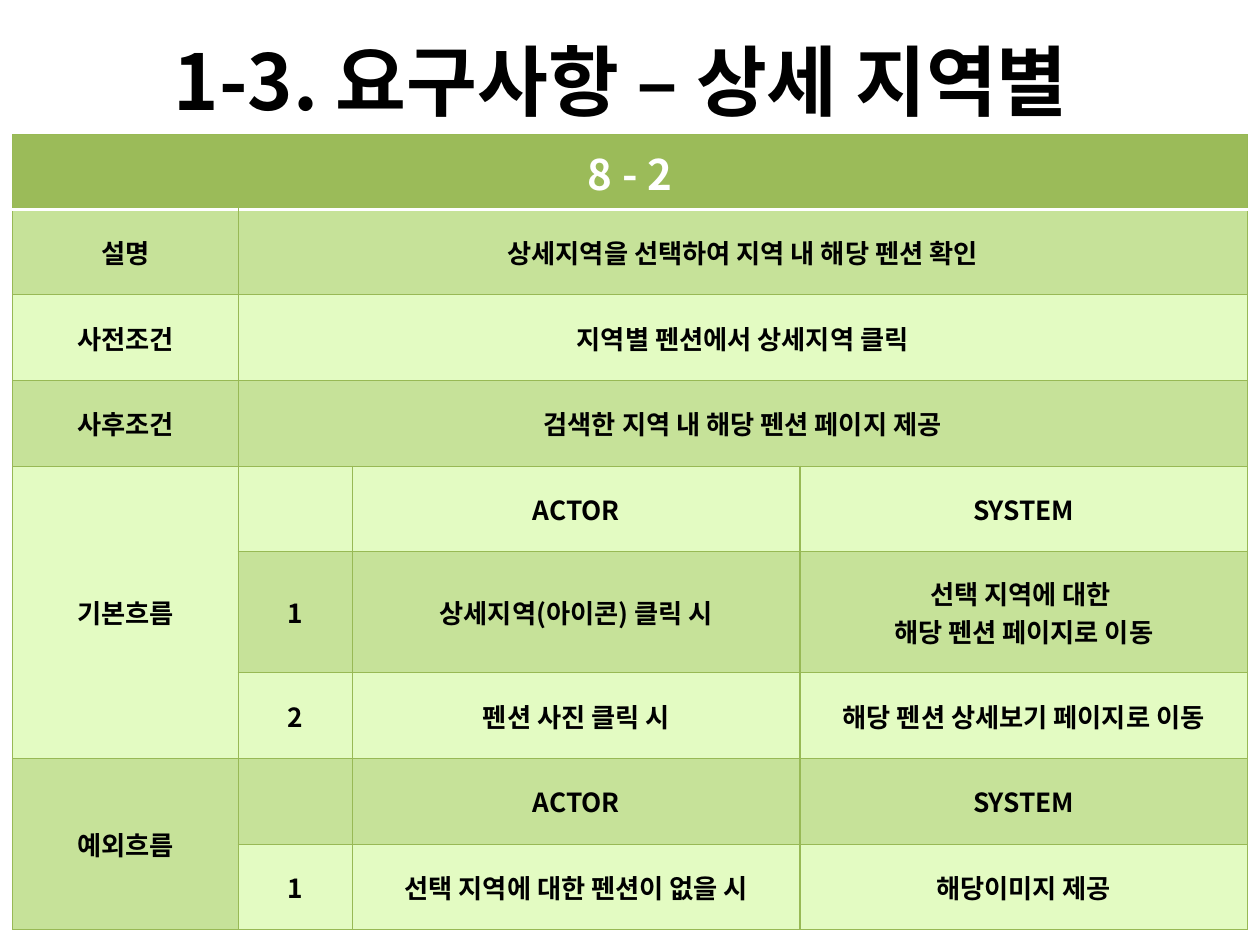
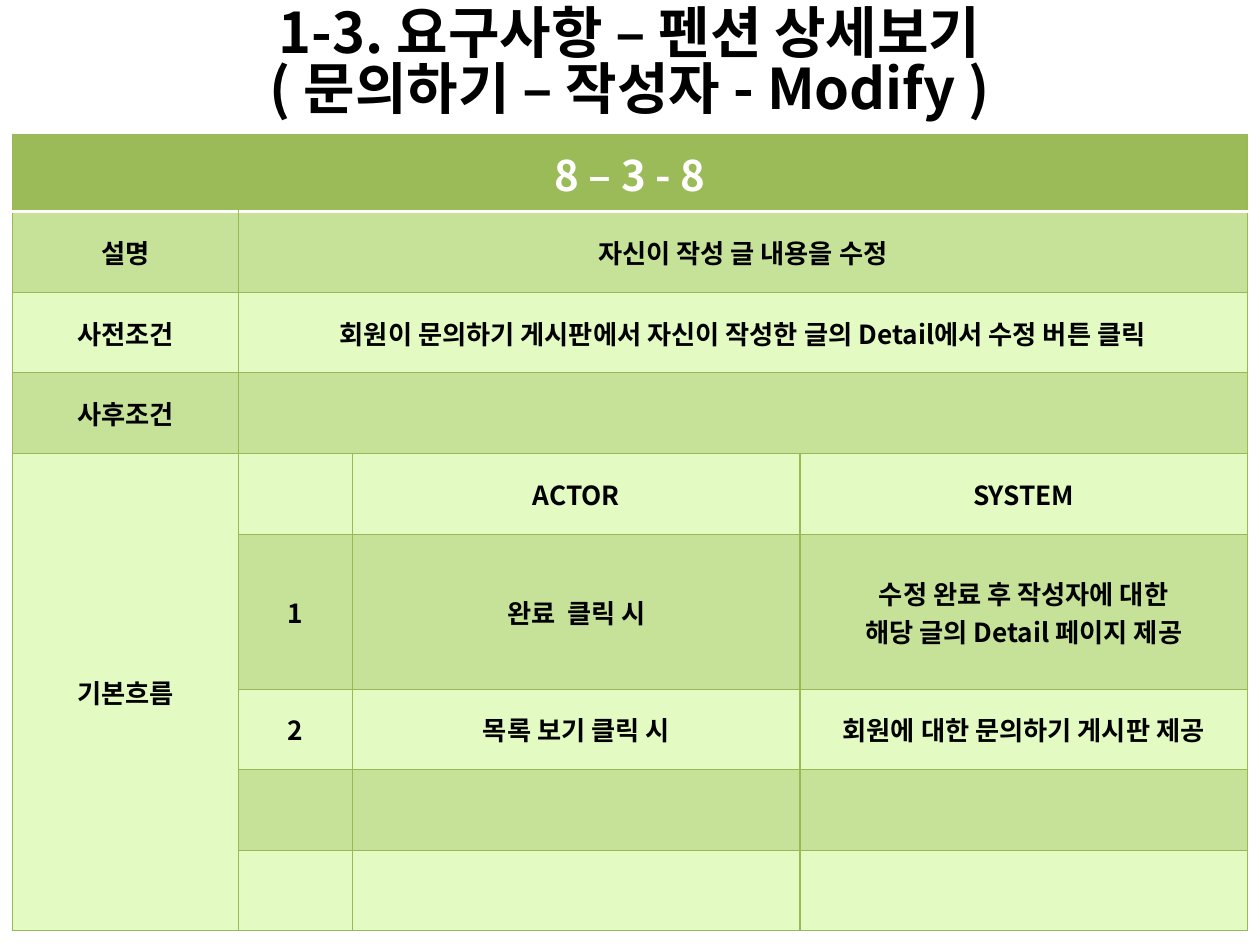
from lxml.etree import SubElement
from pptx import Presentation
from pptx.dml.color import RGBColor
from pptx.enum.text import MSO_ANCHOR as Anchor, PP_ALIGN as Align
from pptx.oxml.ns import qn
from pptx.util import Inches, Pt

FONT = "Noto Sans CJK KR"
BLACK, WHITE = "000000", "FFFFFF"
HEADER, BORDER = "9BBB59", "98B955"
BANDS = ("E3FBC2", "C6E299")
COLUMN_WIDTHS = (1.79, 0.91, 3.55, 3.55)
TABLE_LEFT, TABLE_TOP = 0.1, 1.07
TALL_ROW = 5
FLOW_HEADING = ("", "ACTOR", "SYSTEM")


def color(hex_string):
    return RGBColor.from_string(hex_string)


def write_text(frame, text, size=15, font_color=BLACK, line_spacing=None):
    frame.word_wrap = True
    frame.vertical_anchor = Anchor.MIDDLE
    for index, line in enumerate(text.split("\n")):
        paragraph = frame.add_paragraph() if index else frame.paragraphs[0]
        paragraph.text = line
        paragraph.alignment = Align.CENTER
        if line_spacing:
            paragraph.line_spacing = line_spacing
        for run in paragraph.runs:
            run.font.size = Pt(size)
            run.font.bold = True
            run.font.name = FONT
            run.font.color.rgb = color(font_color)
            SubElement(run.font._element, qn("a:ea"), typeface=FONT)


def add_title(slide, text, top, size, line_spacing=None):
    box = slide.shapes.add_textbox(Inches(0.5), Inches(top), Inches(9), Inches(1.25))
    write_text(box.text_frame, text, size=size, line_spacing=line_spacing)


def add_border(cell, side, hex_string=BORDER, width=0.75):
    properties = cell._tc.get_or_add_tcPr()
    line = SubElement(properties, qn(f"a:ln{side}"), w=str(Pt(width)))
    fill = SubElement(line, qn("a:solidFill"))
    SubElement(fill, qn("a:srgbClr"), val=hex_string)


def style_cell(cell, row):
    for side in "LRTB":
        if (row, side) in ((0, "B"), (1, "T")):
            add_border(cell, side, WHITE, 2)
        else:
            add_border(cell, side)
    cell.fill.solid()
    cell.fill.fore_color.rgb = color(BANDS[row % 2] if row else HEADER)


def add_requirement_table(slide, code, conditions, flows, heights):
    header_height, row_height, tall_height = heights
    row_heights = [header_height] + [row_height] * 8
    row_heights[TALL_ROW] = tall_height
    table = slide.shapes.add_table(
        len(row_heights), len(COLUMN_WIDTHS), Inches(TABLE_LEFT), Inches(TABLE_TOP),
        Inches(sum(COLUMN_WIDTHS)), Inches(sum(row_heights))).table
    for column, width in zip(table.columns, COLUMN_WIDTHS):
        column.width = Inches(width)
    for row, (table_row, height) in enumerate(zip(table.rows, row_heights)):
        table_row.height = Inches(height)
        for cell in table_row.cells:
            style_cell(cell, row)

    table.cell(0, 0).merge(table.cell(0, 3))
    write_text(table.cell(0, 0).text_frame, code, size=24, font_color=WHITE)
    table.cell(0, 0).vertical_anchor = Anchor.MIDDLE

    def fill_cell(row, column, text):
        cell = table.cell(row, column)
        cell.vertical_anchor = Anchor.MIDDLE
        write_text(cell.text_frame, text)

    labels = ("설명", "사전조건", "사후조건")
    for row, (label, condition) in enumerate(zip(labels, conditions), 1):
        table.cell(row, 1).merge(table.cell(row, 3))
        fill_cell(row, 0, label)
        fill_cell(row, 1, condition)

    first_row = 1 + len(labels)
    for label, steps in flows:
        lines = [FLOW_HEADING, *steps]
        table.cell(first_row, 0).merge(table.cell(first_row + len(lines) - 1, 0))
        fill_cell(first_row, 0, label)
        for row, line in enumerate(lines, first_row):
            for column, text in enumerate(line, 1):
                fill_cell(row, column, text)
        first_row += len(lines)


def main():
    presentation = Presentation()
    presentation.slide_width, presentation.slide_height = Inches(10), Inches(7.5)
    blank = presentation.slide_layouts[6]

    slide = presentation.slides.add_slide(blank)
    add_title(slide, "1-3. 요구사항 – 상세 지역별 ", top=0.01, size=44)
    add_requirement_table(
        slide, "8 - 2",
        ("상세지역을 선택하여 지역 내 해당 펜션 확인",
         "지역별 펜션에서 상세지역 클릭",
         "검색한 지역 내 해당 펜션 페이지 제공"),
        [("기본흐름", [
            ("1", "상세지역(아이콘) 클릭 시", "선택 지역에 대한 \n해당 펜션 페이지로 이동"),
            ("2", "펜션 사진 클릭 시", "해당 펜션 상세보기 페이지로 이동")]),
         ("예외흐름", [
             ("1", "선택 지역에 대한 펜션이 없을 시", "해당이미지 제공")])],
        heights=(0.59, 0.68, 0.96))

    slide = presentation.slides.add_slide(blank)
    add_title(slide, "1-3. 요구사항 – 펜션 상세보기\v( 문의하기 – 작성자 - Modify )",
              top=-0.11, size=32, line_spacing=0.83)
    add_requirement_table(
        slide, "8 – 3 - 8",
        ("자신이 작성 글 내용을 수정",
         "회원이 문의하기 게시판에서 자신이 작성한 글의 Detail에서 수정 버튼 클릭",
         ""),
        [("기본흐름", [
            ("1", "완료  클릭 시", "수정 완료 후 작성자에 대한\n해당 글의 Detail 페이지 제공"),
            ("2", "목록 보기 클릭 시", "회원에 대한 문의하기 게시판 제공"),
            ("", "", ""),
            ("", "", "")])],
        heights=(0.61, 0.64, 1.23))

    presentation.save("out.pptx")


if __name__ == "__main__":
    main()
